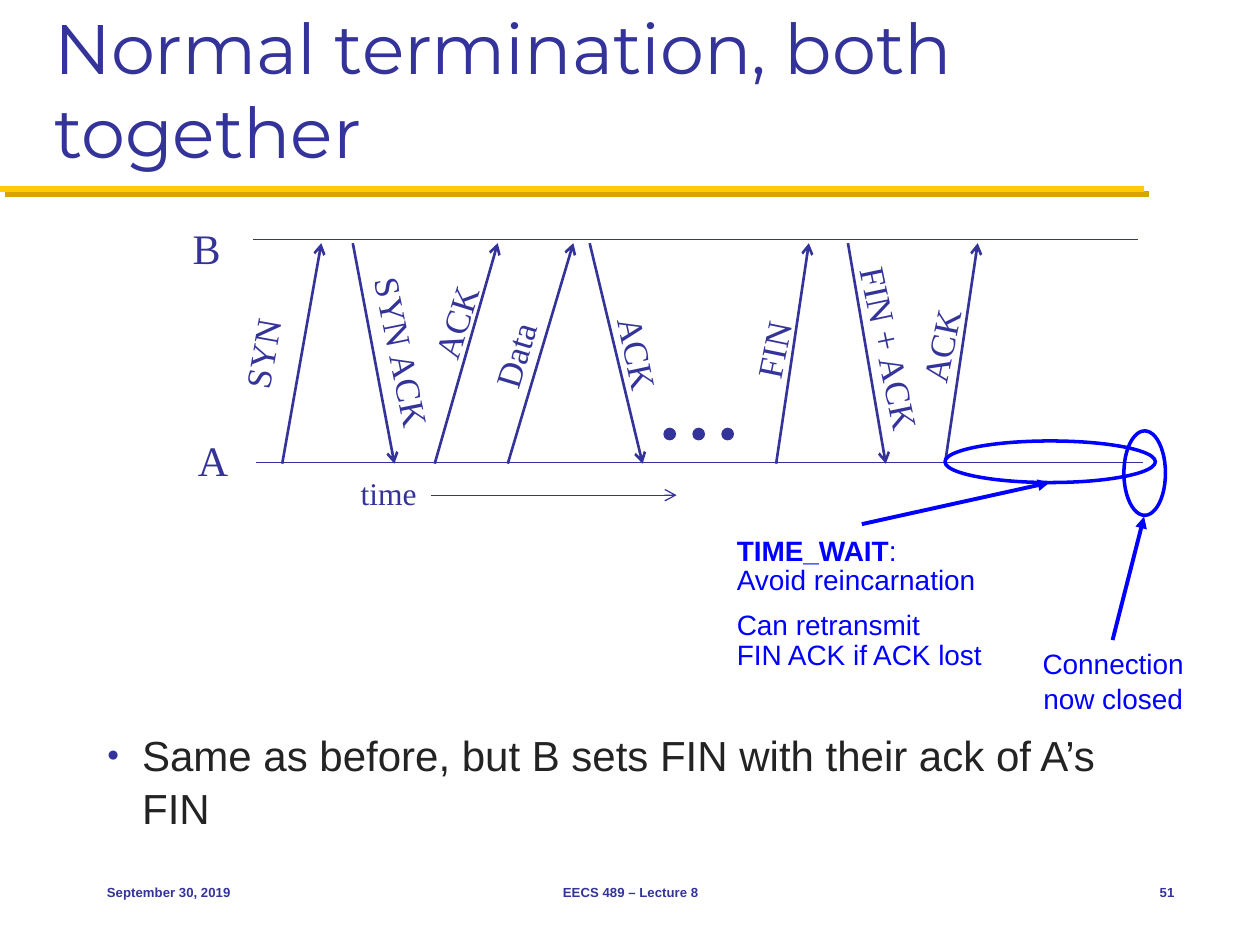
from dataclasses import dataclass

from pptx import Presentation
from pptx.dml.color import RGBColor
from pptx.enum.shapes import MSO_CONNECTOR, MSO_SHAPE
from pptx.enum.text import MSO_ANCHOR, MSO_AUTO_SIZE, PP_ALIGN
from pptx.oxml import parse_xml
from pptx.oxml.ns import nsdecls
from pptx.util import Inches, Pt


@dataclass(frozen=True)
class Theme:
    navy: str = "333399"
    blue: str = "0000FF"
    ink: str = "232323"
    gold: str = "FFCB05"
    dark_gold: str = "D3A600"
    title_font: str = "Montserrat"
    body_font: str = "Arial"
    diagram_font: str = "Times New Roman"
    title_size: float = 40
    body_size: float = 24
    message_size: float = 20
    time_size: float = 18
    callout_size: float = 16
    footer_size: float = 7.5


THEME = Theme()
COLUMNS, ROWS = 100, 75
LINE_B, LINE_A = 19, 36.7
MESSAGE_TOP, MESSAGE_BOTTOM = 19.3, 36.8
LABEL_HEIGHT = 4.3

MESSAGES = [
    ("SYN", 22.4, 25.5, True, (20.8, 28.05), 7.6, 280.1),
    ("SYN ACK", 28, 31.3, False, (31.95, 27.95), 14.1, 78.5),
    ("ACK", 34.5, 39.5, True, (36.15, 25.55), 7.9, 287.4),
    ("Data", 40.3, 45.5, True, (40.85, 28.15), 7.3, 286.7),
    ("ACK", 46.8, 51, False, (50.65, 28.05), 7.9, 77.9),
    ("FIN", 61.6, 64.2, True, (61.35, 27.75), 6.5, 281.6),
    ("FIN + ACK", 67.3, 70.3, False, (70.65, 27.65), 15.3, 78.1),
    ("ACK", 75, 77.6, True, (74.65, 27.45), 7.9, 281.6),
]


def cells(*values):
    return [Inches(10 / COLUMNS * value) for value in values]


def color(value):
    return RGBColor.from_string(value)


def write_text(shape, text, *, size, font=THEME.body_font, fill=THEME.navy, bold=False,
               bold_lead="", align=PP_ALIGN.LEFT, anchor=MSO_ANCHOR.MIDDLE,
               wrap=True, spacing=(1,), space_before=0):
    frame = shape.text_frame
    frame.auto_size = MSO_AUTO_SIZE.NONE
    frame.word_wrap = wrap
    frame.vertical_anchor = anchor
    for index, content in enumerate(text.split("\n")):
        paragraph = frame.add_paragraph() if index else frame.paragraphs[0]
        paragraph.text = content
        paragraph.alignment = align
        paragraph.line_spacing = spacing[index]
        paragraph.space_before = Pt(space_before if index else 0)
        for run in paragraph.runs:
            run.font.name = font
            run.font.size = Pt(size)
            run.font.color.rgb = color(fill)
            run.font.bold = bold or run.text == bold_lead
    return shape


def add_text(slide, box, text, rotation=0, **text_format):
    shape = slide.shapes.add_textbox(*cells(*box))
    shape.rotation = rotation
    return write_text(shape, text, **text_format)


def add_line(slide, start, end, fill=THEME.navy, width=0.75, head=None, effect=""):
    line = slide.shapes.add_connector(MSO_CONNECTOR.STRAIGHT, *cells(*start, *end))
    line.line.color.rgb = color(fill)
    line.line.width = Pt(width)
    if head:
        line.line._get_or_add_ln().append(
            parse_xml(f'<a:tailEnd {nsdecls("a")} type="{head}"/>'))
    line._element.spPr.append(
        parse_xml(f'<a:effectLst {nsdecls("a")}>{effect}</a:effectLst>'))


def add_ellipse(slide, box, line_color, width, fill=None):
    ellipse = slide.shapes.add_shape(MSO_SHAPE.OVAL, *cells(*box))
    ellipse.shadow.inherit = False
    ellipse.line.color.rgb = color(line_color)
    ellipse.line.width = Pt(width)
    if fill:
        ellipse.fill.solid()
        ellipse.fill.fore_color.rgb = color(fill)
    else:
        ellipse.fill.background()


def add_title(slide):
    shadow = (f'<a:outerShdw dist="{Pt(4.2)}" dir="2700000" algn="ctr" rotWithShape="0">'
              f'<a:srgbClr val="{THEME.dark_gold}"/></a:outerShdw>')
    add_line(slide, (0, 15), (90.8, 15), THEME.gold, 3.5, effect=shadow)
    title = slide.shapes.title
    title.left, title.top, title.width, title.height = cells(3.3, 1.7, 93.3, 12.5)
    write_text(title, "Normal termination, both together", size=THEME.title_size,
               font=THEME.title_font, anchor=MSO_ANCHOR.BOTTOM)


def add_bullet(slide):
    shape = add_text(slide, (7.5, 57.2, 86.7, 8.6),
                     "Same as before, but B sets FIN with their ack of A’s FIN",
                     size=THEME.body_size, fill=THEME.ink,
                     anchor=MSO_ANCHOR.TOP, spacing=(1.05,))
    properties = shape.text_frame.paragraphs[0]._p.get_or_add_pPr()
    properties.set("marL", str(Inches(0.28)))
    properties.set("indent", str(-Inches(0.28)))
    for element in (f'<a:buClr {nsdecls("a")}><a:srgbClr val="{THEME.navy}"/></a:buClr>',
                    f'<a:buSzPct {nsdecls("a")} val="50000"/>',
                    f'<a:buFont {nsdecls("a")} typeface="{THEME.body_font}"/>',
                    f'<a:buChar {nsdecls("a")} char="●"/>'):
        properties.append(parse_xml(element))


def add_message(slide, label, start, end, upward, center, width, rotation):
    first, last = MESSAGE_BOTTOM, MESSAGE_TOP
    if not upward:
        first, last = last, first
    add_line(slide, (start, first), (end, last), width=1.5, head="arrow")
    box = (center[0] - width / 2, center[1] - LABEL_HEIGHT / 2, width, LABEL_HEIGHT)
    add_text(slide, box, label, rotation, size=THEME.message_size,
             font=THEME.diagram_font, align=PP_ALIGN.CENTER, wrap=False)


def add_timeline(slide):
    add_line(slide, (20.1, LINE_B), (90.3, LINE_B))
    add_line(slide, (20.3, LINE_A), (90.7, LINE_A))
    add_line(slide, (34.2, 39.3), (53.7, 39.3), head="arrow")
    for label, box, size in (("B", (14.3, 17.2, 4.2, 5), THEME.body_size),
                             ("A", (14.7, 34, 4.4, 5), THEME.body_size),
                             ("time", (27.6, 37.1, 6.5, 4), THEME.time_size)):
        add_text(slide, box, label, size=size, font=THEME.diagram_font,
                 align=PP_ALIGN.CENTER, wrap=False)
    for index in range(3):
        add_ellipse(slide, (52.7 + 2.3 * index, 34, 0.9, 0.9), THEME.navy, 0.75, THEME.navy)


def add_callout(slide, ellipse, start, end, box, text, **text_format):
    add_line(slide, start, end, THEME.blue, 2.25, "triangle")
    add_ellipse(slide, ellipse, THEME.blue, 2)
    add_text(slide, box, text, size=THEME.callout_size, fill=THEME.blue, **text_format)


def add_footer(slide):
    for text, left, width, align in (
            ("September 30, 2019", 7.5, 20.8, PP_ALIGN.LEFT),
            ("EECS 489 – Lecture 8", 34.2, 31.7, PP_ALIGN.CENTER),
            ("51", 87.5, 6.7, PP_ALIGN.RIGHT)):
        add_text(slide, (left, 68.3, width, 5), text, size=THEME.footer_size,
                 bold=True, align=align)


def add_wait_callout(slide):
    lead = "TIME_WAIT"
    add_callout(slide, (75, 35, 16.7, 3.3), (68.4, 41.6), (83.3, 38.3),
                (57.5, 41.6, 23, 12.4),
                f"{lead}\nAvoid reincarnation\nCan retransmit\vFIN ACK if ACK lost",
                bold_lead=lead, spacing=(1, 0.9, 0.9), space_before=0)
    paragraphs = slide.shapes[-1].text_frame.paragraphs
    colon = paragraphs[0].add_run()
    colon.text = ":"
    colon.font.name = THEME.body_font
    colon.font.size = Pt(THEME.callout_size)
    colon.font.color.rgb = color(THEME.blue)
    paragraphs[2].space_before = Pt(8)


def main():
    presentation = Presentation()
    presentation.slide_width, presentation.slide_height = cells(COLUMNS, ROWS)
    slide = presentation.slides.add_slide(presentation.slide_layouts[5])
    add_title(slide)
    add_bullet(slide)
    for message in MESSAGES:
        add_message(slide, *message)
    add_timeline(slide)
    add_callout(slide, (89.2, 34.2, 3.3, 6.7), (88.3, 50.8), (90.8, 41),
                (81.7, 50.8, 13.3, 6.4), "Connection\vnow closed",
                align=PP_ALIGN.CENTER, spacing=(1.05,))
    add_wait_callout(slide)
    add_footer(slide)
    presentation.save("out.pptx")


if __name__ == "__main__":
    main()
